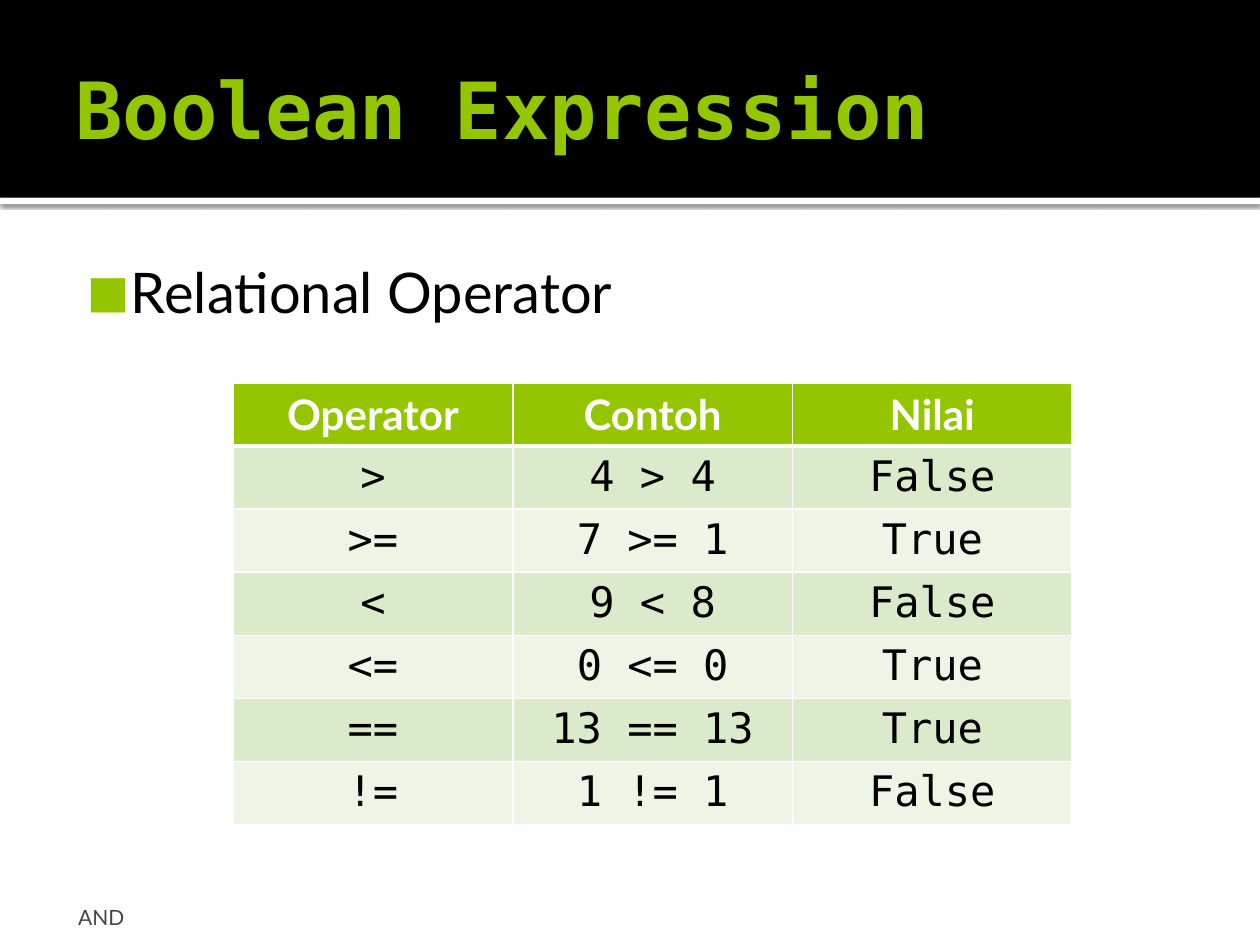
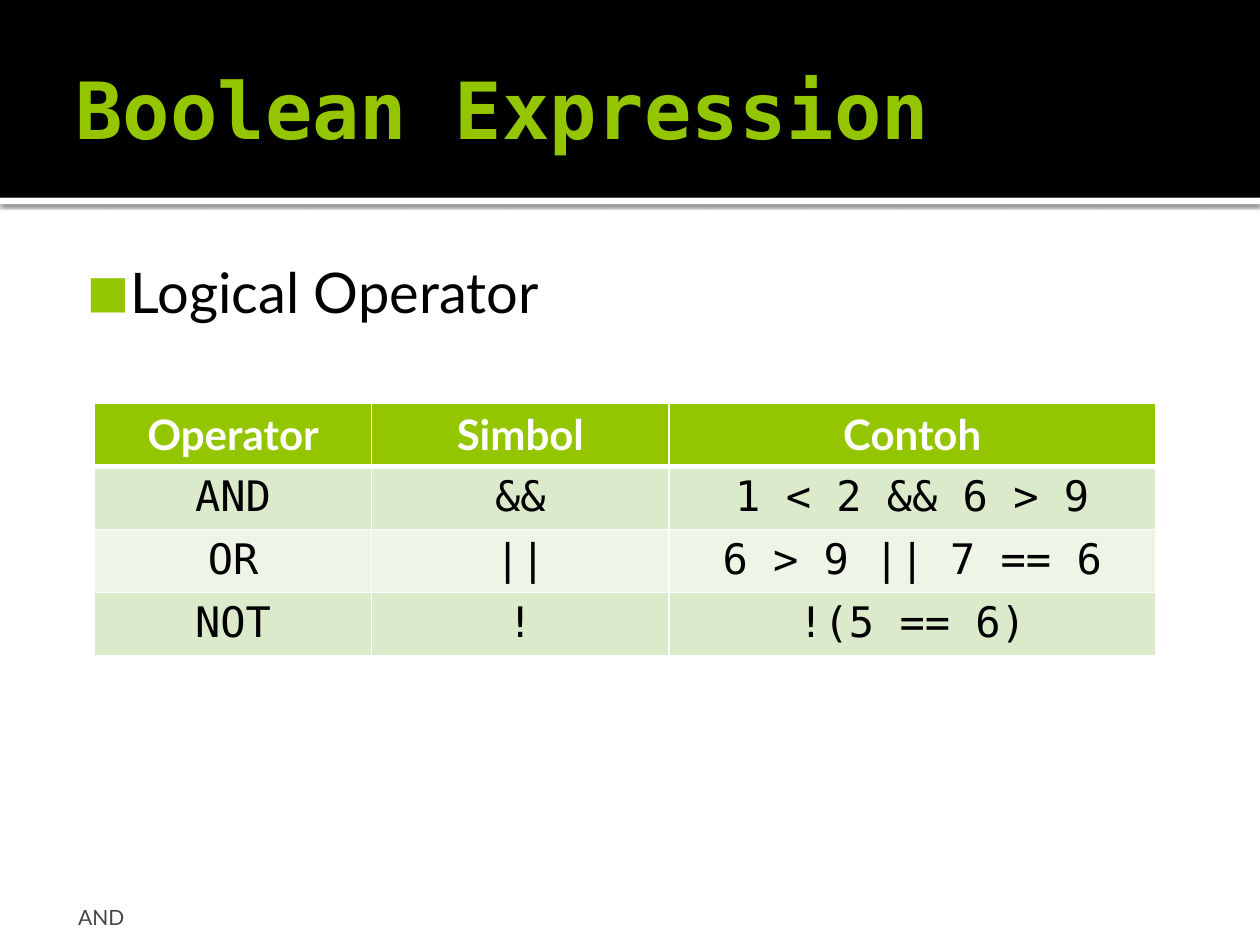
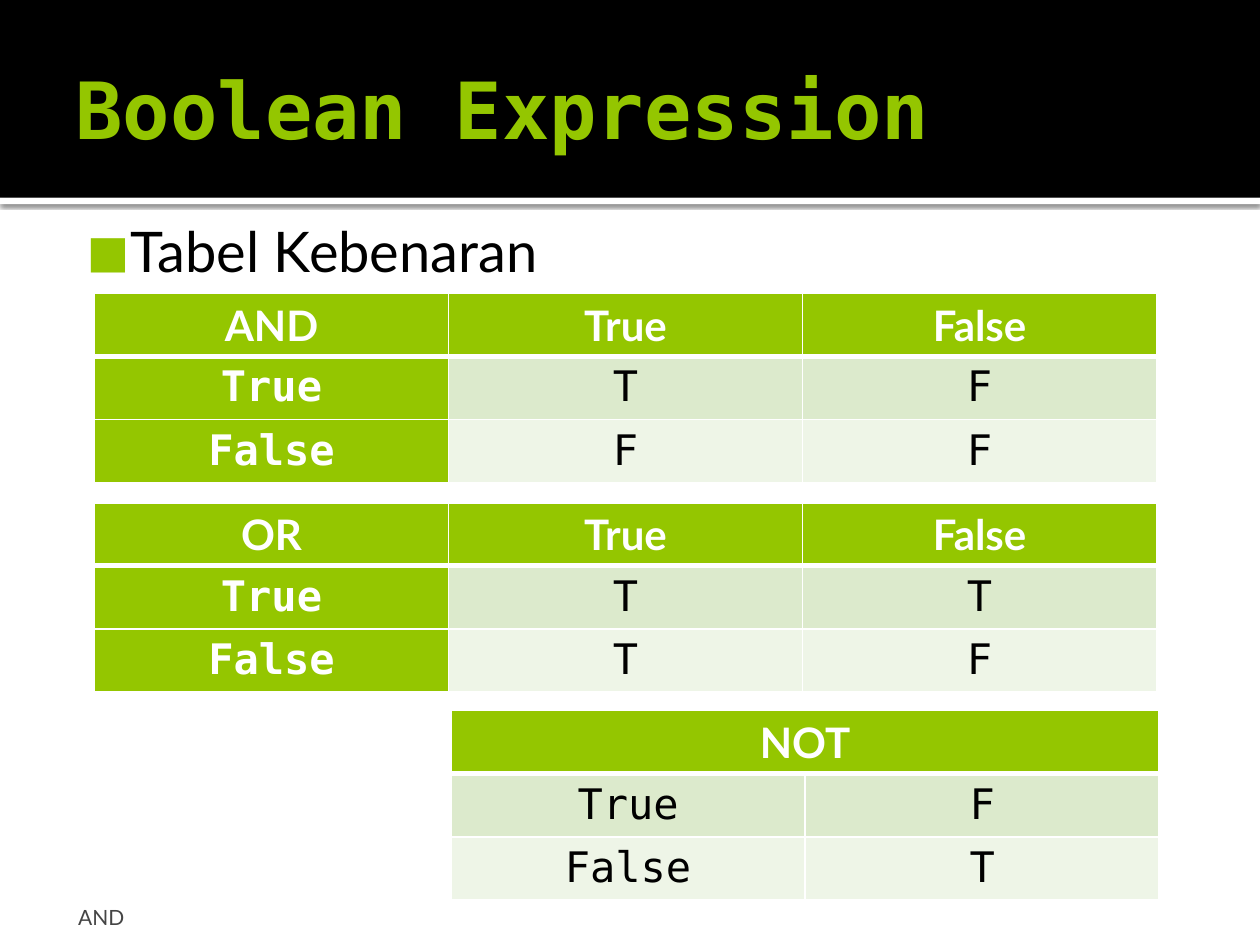
import pptx
import pptx.dml.color
import pptx.enum.shapes
import pptx.enum.text
import pptx.oxml
import pptx.util

COLORS = {
    "accent": "94C600", "band": "000000", "paper": "FFFFFF", "ink": "000000",
    "footer": "454545", "dark_row": "DCEACC", "light_row": "EEF5E7",
}
SANS, MONO = "Lato", "DejaVu Sans Mono"
WIDTH, HEIGHT = 10, 7.5
MARGIN = 0.05 * WIDTH
BAND_HEIGHT, RULE_HEIGHT = 1.57, 0.05
ROW_HEIGHT = 0.41
TABLE_LEFT, TABLE_WIDTH = 0.75, 8.43
THIRD = TABLE_WIDTH / 3
TITLE, FOOTER = "Boolean Expression", "AND"
NAMESPACE = 'xmlns:a="http://schemas.openxmlformats.org/drawingml/2006/main"'

SLIDES = [
    {"topic": "Relational Operator", "topic_top": 1.94, "tables": [
        {"left": 1.85, "top": 3.04, "columns": [2.22] * 3, "rows": [
            ("Operator", "Contoh", "Nilai"),
            (">", "4 > 4", "False"),
            (">=", "7 >= 1", "True"),
            ("<", "9 < 8", "False"),
            ("<=", "0 <= 0", "True"),
            ("==", "13 == 13", "True"),
            ("!=", "1 != 1", "False"),
        ]},
    ]},
    {"topic": "Logical Operator", "topic_top": 1.94, "tables": [
        {"left": TABLE_LEFT, "top": 3.2, "columns": [2.2, 2.36, 3.86], "rows": [
            ("Operator", "Simbol", "Contoh"),
            ("AND", "&&", "1 < 2 && 6 > 9"),
            ("OR", "||", "6 > 9 || 7 == 6"),
            ("NOT", "!", "!(5 == 6)"),
        ]},
    ]},
    {"topic": "Tabel Kebenaran", "topic_top": BAND_HEIGHT + RULE_HEIGHT, "tables": [
        {"left": TABLE_LEFT, "top": 2.33, "columns": [THIRD] * 3, "row_heads": True, "rows": [
            ("AND", "True", "False"),
            ("True", "T", "F"),
            ("False", "F", "F"),
        ]},
        {"left": TABLE_LEFT, "top": 3.99, "columns": [THIRD] * 3, "row_heads": True, "rows": [
            ("OR", "True", "False"),
            ("True", "T", "T"),
            ("False", "T", "F"),
        ]},
        {"left": 3.58, "top": 5.64, "columns": [THIRD] * 2, "rows": [
            ("NOT",),
            ("True", "F"),
            ("False", "T"),
        ]},
    ]},
]


def color(name):
    return pptx.dml.color.RGBColor.from_string(COLORS[name])


def inches(*lengths):
    return [pptx.util.Inches(length) for length in lengths]


def style_text(paragraph, font, size, color_name, bold=False):
    for span in paragraph.runs:
        span.font.name = font
        span.font.size = pptx.util.Pt(size)
        span.font.bold = bold
        span.font.color.rgb = color(color_name)


def add_text(page, text, place, insets, anchor, *style):
    box = page.shapes.add_textbox(*inches(*place))
    frame = box.text_frame
    frame.word_wrap = True
    frame.vertical_anchor = anchor
    frame.margin_left, frame.margin_top, frame.margin_right, frame.margin_bottom = inches(*insets)
    frame.text = text
    style_text(frame.paragraphs[0], *style)
    return frame.paragraphs[0]


def add_bar(page, top, height, color_name):
    bar = page.shapes.add_shape(
        pptx.enum.shapes.MSO_SHAPE.RECTANGLE, *inches(0, top, WIDTH, height))
    bar.shadow.inherit = False
    bar.fill.solid()
    bar.fill.fore_color.rgb = color(color_name)
    bar.line.fill.background()
    return bar


def add_shadow(shape):
    effects = shape._element.spPr.find(pptx.oxml.ns.qn("a:effectLst"))
    effects.append(pptx.oxml.parse_xml(
        f'<a:outerShdw {NAMESPACE} blurRad="{pptx.util.Pt(2.5)}" dist="{pptx.util.Pt(0.8)}" '
        f'dir="5400000" algn="tl" rotWithShape="0"><a:srgbClr val="{COLORS["ink"]}">'
        '<a:alpha val="60000"/></a:srgbClr></a:outerShdw>'))


def add_bullet(paragraph):
    properties = paragraph._p.get_or_add_pPr()
    properties.set("marL", str(pptx.util.Inches(0.48)))
    properties.set("indent", str(pptx.util.Inches(-0.35)))
    for item in (
        f'<a:buClr {NAMESPACE}><a:srgbClr val="{COLORS["accent"]}"/></a:buClr>',
        f'<a:buSzPct {NAMESPACE} val="80000"/>',
        f'<a:buFont {NAMESPACE} typeface="{SANS}"/>',
        f'<a:buChar {NAMESPACE} char="■"/>',
    ):
        properties.append(pptx.oxml.parse_xml(item))


def add_borders(cell, row):
    widths = {"L": 1, "R": 1, "T": 3 if row == 1 else 1, "B": 3 if row == 0 else 1}
    properties = cell._tc.get_or_add_tcPr()
    for position, (side, width) in enumerate(widths.items()):
        properties.insert(position, pptx.oxml.parse_xml(
            f'<a:ln{side} {NAMESPACE} w="{pptx.util.Pt(width)}"><a:solidFill>'
            f'<a:srgbClr val="{COLORS["paper"]}"/></a:solidFill></a:ln{side}>'))


def add_grid(page, left, top, columns, rows, row_heads=False):
    table = page.shapes.add_table(
        len(rows), len(columns),
        *inches(left, top, sum(columns), ROW_HEIGHT * len(rows))).table
    table.first_col = row_heads
    for column, width in zip(table.columns, columns):
        column.width = pptx.util.Inches(width)
    if len(rows[0]) < len(columns):
        table.cell(0, 0).merge(table.cell(0, len(columns) - 1))
    for row in range(len(rows)):
        table.rows[row].height = pptx.util.Inches(ROW_HEIGHT)
        for column in range(len(columns)):
            cell = table.cell(row, column)
            head = row == 0 or (row_heads and column == 0)
            stripe = "dark_row" if row % 2 else "light_row"
            cell.fill.solid()
            cell.fill.fore_color.rgb = color("accent" if head else stripe)
            add_borders(cell, row)
            if column < len(rows[row]):
                cell.text_frame.text = rows[row][column]
                paragraph = cell.text_frame.paragraphs[0]
                paragraph.alignment = pptx.enum.text.PP_ALIGN.CENTER
                style_text(paragraph, MONO if row else SANS, 24, "paper" if head else "ink", head)


def add_page(deck, topic, topic_top, tables):
    anchors = pptx.enum.text.MSO_ANCHOR
    page = deck.slides.add_slide(deck.slide_layouts[6])
    page.background.fill.solid()
    page.background.fill.fore_color.rgb = color("paper")
    add_shadow(add_bar(page, BAND_HEIGHT, RULE_HEIGHT, "paper"))
    add_bar(page, 0, BAND_HEIGHT, "band")
    text_width = WIDTH - 2 * MARGIN
    add_text(page, TITLE, (MARGIN, 0.17, text_width, 1.37), (0.1, 0.05, 0.05, 0.05),
             anchors.MIDDLE, MONO, 45, "accent", True)
    add_bullet(add_text(page, topic, (MARGIN, topic_top, text_width, 7 - topic_top),
                        (0.06, 0.1, 0.1, 0.05), anchors.TOP, SANS, 32, "ink"))
    add_text(page, FOOTER, (MARGIN, 7.08, 2.33, 0.3), (0.12, 0.05, 0.05, 0),
             anchors.BOTTOM, SANS, 12, "footer")
    for table in tables:
        add_grid(page, **table)


deck = pptx.Presentation()
deck.slide_width, deck.slide_height = inches(WIDTH, HEIGHT)
for slide in SLIDES:
    add_page(deck, **slide)
deck.save("out.pptx")
